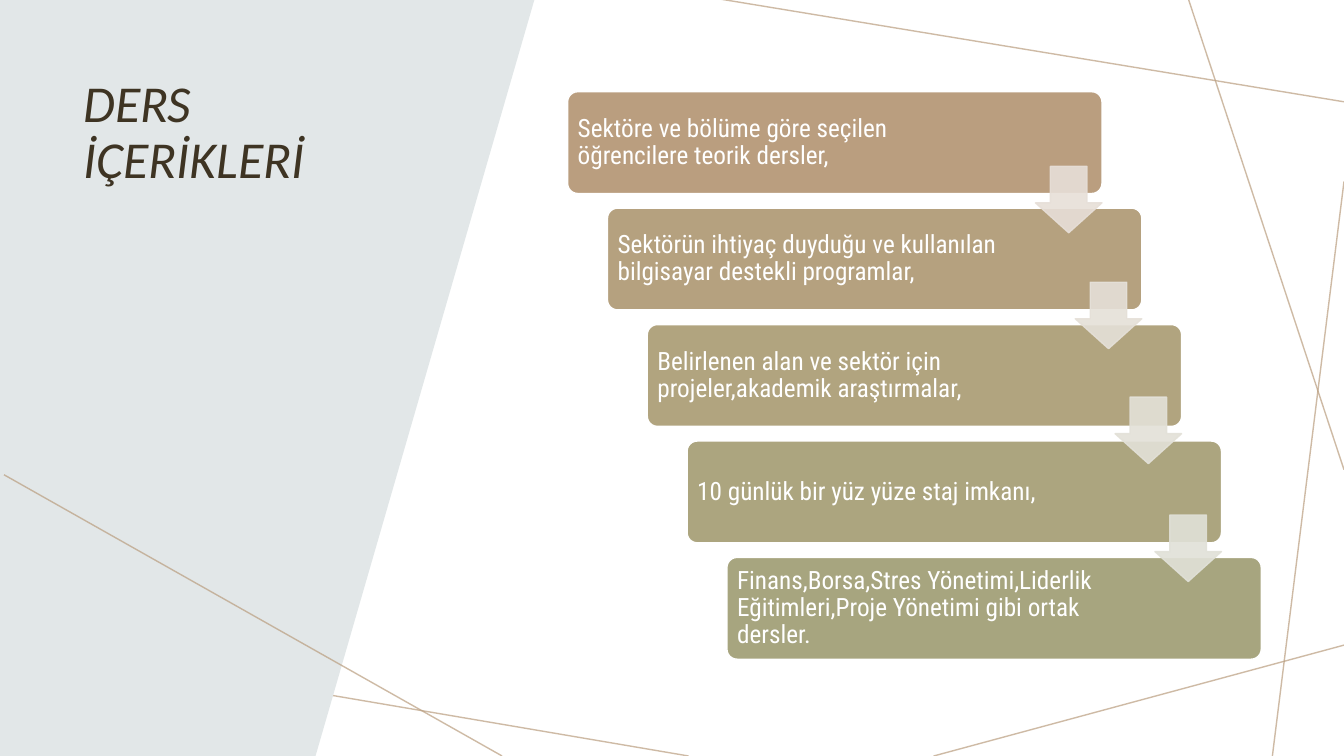
from lxml.etree import SubElement
from pptx import Presentation
from pptx.dml.color import RGBColor
from pptx.enum.shapes import MSO_CONNECTOR, MSO_SHAPE
from pptx.enum.text import MSO_ANCHOR, PP_ALIGN
from pptx.oxml.ns import qn
from pptx.util import Inches, Pt

WHITE = RGBColor(0xFF, 0xFF, 0xFF)
TAN = RGBColor(0xBA, 0x9E, 0x7F)
PANEL = RGBColor(0xE2, 0xE7, 0xE8)
BROWN = RGBColor(0x3E, 0x34, 0x23)

BACK_LINES = [
    (3.41, 0, 0, 0.75), (0.99, 0, 0, 7.16), (6.83, 7.5, -0.05, 6.33),
    (13.33, 6.4, 9.26, 7.5), (13.33, 1.8, 12.62, 7.5),
    (13.33, 4.66, 11.79, 0), (13.33, 1.01, 7.14, -0.01),
]
FRONT_LINE = (0.04, 4.71, 4.98, 7.5)
PANEL_POINTS = [(3.13, 7.5), (0, 7.5), (0, 0), (5.3, 0)]

STEPS = [
    ("Sektöre ve bölüme göre seçilen öğrencilere teorik dersler,", TAN, 4.08),
    ("Sektörün ihtiyaç duyduğu ve kullanılan bilgisayar destekli programlar,",
     RGBColor(0xB5, 0xA1, 0x7F), 4.18),
    ("Belirlenen alan ve sektör için projeler,akademik araştırmalar,",
     RGBColor(0xB1, 0xA4, 0x7F), 4.18),
    ("10 günlük bir yüz yüze staj imkanı,", RGBColor(0xAC, 0xA5, 0x7F), 4.18),
    ("Finans,Borsa,Stres Yönetimi,Liderlik Eğitimleri,Proje Yönetimi gibi ortak dersler.",
     RGBColor(0xA7, 0xA5, 0x7F), 4.18),
]
ARROWS = [
    (1.65, RGBColor(0xE7, 0xDF, 0xD8)), (2.8, RGBColor(0xE5, 0xE0, 0xD8)),
    (3.94, RGBColor(0xE3, 0xE1, 0xD8)), (5.11, RGBColor(0xE1, 0xE1, 0xD8)),
]
STEP_RIGHT, STEP_DOWN = 0.395, 1.155


class SlideBuilder:
    """Draws styled elements on the current slide."""

    def __init__(self, slide):
        self.slide = slide
        self.shapes = slide.shapes

    def set_opacity(self, shape, percent):
        for color in shape.element.spPr.iter(qn("a:srgbClr")):
            SubElement(color, qn("a:alpha")).set("val", str(percent * 1000))

    def line(self, x1, y1, x2, y2):
        line = self.shapes.add_connector(
            MSO_CONNECTOR.STRAIGHT, Inches(x1), Inches(y1), Inches(x2), Inches(y2))
        line.line.color.rgb = TAN
        line.line.width = Pt(1)
        self.set_opacity(line, 70)
        SubElement(line.element.spPr, qn("a:effectLst"))

    def panel(self, points, color):
        corners = [(Inches(x), Inches(y)) for x, y in points]
        outline = self.shapes.build_freeform(*corners[0])
        outline.add_line_segments(corners[1:], close=True)
        panel = outline.convert_to_shape()
        panel.shadow.inherit = False
        panel.fill.solid()
        panel.fill.fore_color.rgb = color
        panel.line.fill.background()

    def preset(self, kind, left, top, width, height, fill, line, adjustments):
        shape = self.shapes.add_shape(
            kind, Inches(left), Inches(top), Inches(width), Inches(height))
        for index, value in enumerate(adjustments):
            shape.adjustments[index] = value
        shape.shadow.inherit = False
        shape.fill.solid()
        shape.fill.fore_color.rgb = fill
        shape.line.color.rgb = line
        shape.line.width = Pt(1)
        return shape

    def text(self, text, left, top, width, height, font, size, color,
             italic=False, anchor=MSO_ANCHOR.TOP, insets=(0.1, 0.05)):
        box = self.shapes.add_textbox(
            Inches(left), Inches(top), Inches(width), Inches(height))
        frame = box.text_frame
        frame.word_wrap = True
        frame.vertical_anchor = anchor
        frame.margin_left = frame.margin_right = Inches(insets[0])
        frame.margin_top = frame.margin_bottom = Inches(insets[1])
        frame.text = text
        para = frame.paragraphs[0]
        para.alignment = PP_ALIGN.LEFT
        para.line_spacing = 0.9
        span = para.runs[0]
        span.font.name = font
        span.font.size = Pt(size)
        span.font.italic = italic
        span.font.color.rgb = color

    def step(self, text, left, top, color, text_width):
        self.preset(MSO_SHAPE.ROUNDED_RECTANGLE, left, top, 5.3, 1.01,
                    color, WHITE, [0.1])
        self.text(text, left + 0.03, top + 0.03, text_width, 0.95,
                  "Roboto Condensed", 18, WHITE,
                  anchor=MSO_ANCHOR.MIDDLE, insets=(0.07, 0.07))

    def arrow(self, left, top, color):
        arrow = self.preset(MSO_SHAPE.DOWN_ARROW, left, top, 0.66, 0.66,
                            color, color, [0.55, 0.45])
        self.set_opacity(arrow, 90)


def main():
    deck = Presentation()
    deck.slide_width, deck.slide_height = Inches(13.33), Inches(7.5)
    page = SlideBuilder(deck.slides.add_slide(deck.slide_layouts[6]))
    for ends in BACK_LINES:
        page.line(*ends)
    page.panel(PANEL_POINTS, PANEL)
    page.text("DERS İÇERİKLERİ", 0.73, 0.72, 3.53, 3.9, "Calibri", 37, BROWN,
              italic=True)
    page.line(*FRONT_LINE)
    for index, (text, color, text_width) in enumerate(STEPS):
        page.step(text, 5.63 + index * STEP_RIGHT, 0.91 + index * STEP_DOWN,
                  color, text_width)
    for index, (top, color) in enumerate(ARROWS):
        page.arrow(10.27 + index * STEP_RIGHT, top, color)
    deck.save("out.pptx")


if __name__ == "__main__":
    main()
